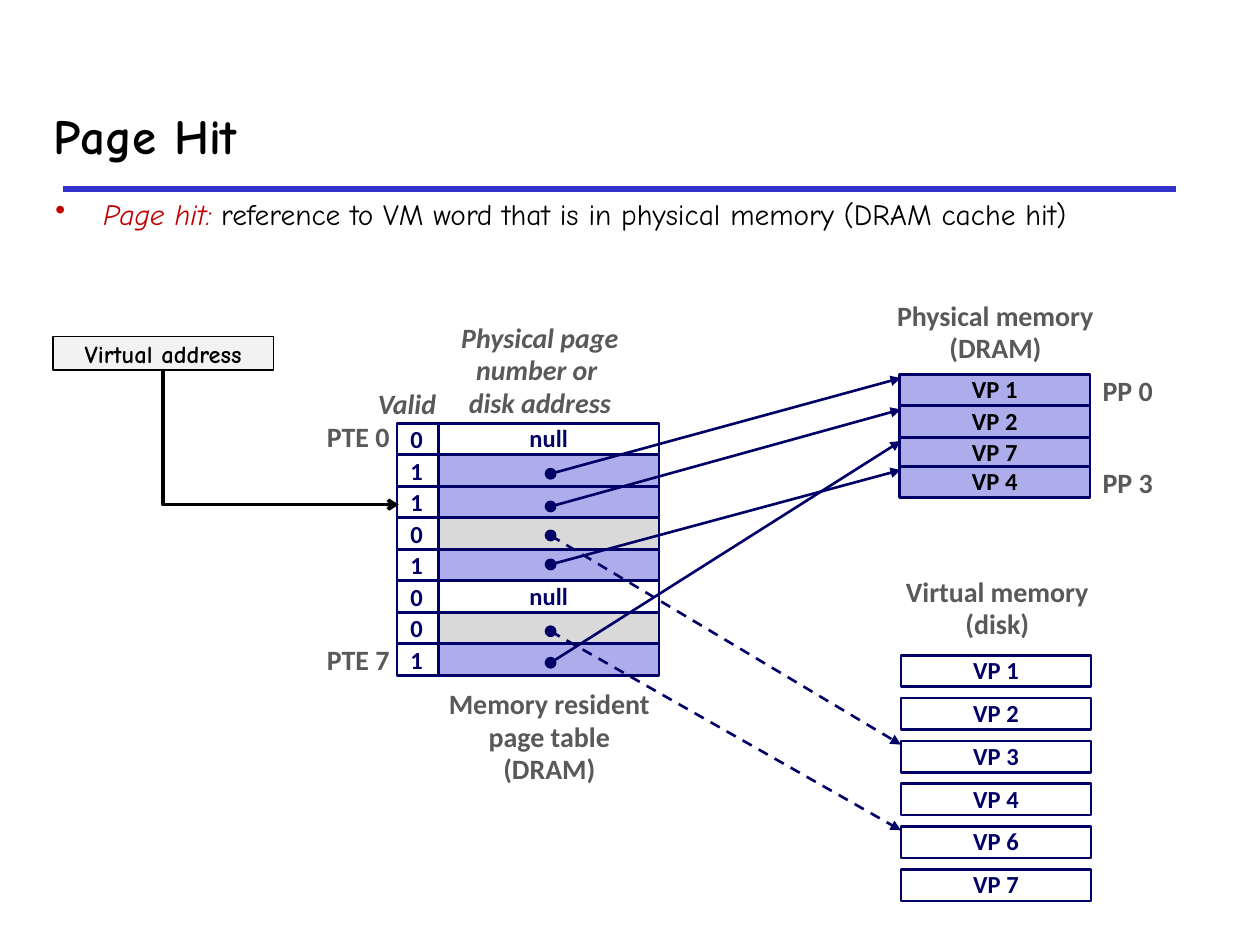
from lxml import etree
from pptx import Presentation
from pptx.dml.color import RGBColor
from pptx.enum.dml import MSO_LINE
from pptx.enum.shapes import MSO_CONNECTOR, MSO_SHAPE
from pptx.enum.text import MSO_ANCHOR, MSO_AUTO_SIZE, PP_ALIGN
from pptx.oxml.ns import qn
from pptx.util import Inches, Pt

STRAIGHT, ELBOW = MSO_CONNECTOR.STRAIGHT, MSO_CONNECTOR.ELBOW
RECTANGLE, OVAL = MSO_SHAPE.RECTANGLE, MSO_SHAPE.OVAL
LEFT, CENTER, RIGHT = PP_ALIGN.LEFT, PP_ALIGN.CENTER, PP_ALIGN.RIGHT
TOP, MIDDLE = MSO_ANCHOR.TOP, MSO_ANCHOR.MIDDLE
FIT, DASH = MSO_AUTO_SIZE.SHAPE_TO_FIT_TEXT, MSO_LINE.DASH

BODY_FONT, TITLE_FONT = "Calibri", "Comic Neue"
NAVY, LAVENDER, SILVER, GRAY = "000066", "ADADEB", "D9D9D9", "595959"
BLACK, WHITE, RED, BLUE = "000000", "FFFFFF", "C00000", "3333CC"

ROW = 0.25
DOT = 0.08
PHYSICAL_TOPS = {"VP 1": 2.97, "VP 2": 3.22, "VP 7": 3.47, "VP 4": 3.7}
VIRTUAL_PAGES = ["VP 1", "VP 2", "VP 3", "VP 4", "VP 6", "VP 7"]
ENTRIES = [
    ("0", "null", None),
    ("1", "VP 1", 3.72),
    ("1", "VP 2", 3.98),
    ("0", "VP 3", 4.21),
    ("1", "VP 4", 4.44),
    ("0", "null", None),
    ("0", "VP 6", 4.97),
    ("1", "VP 7", 5.22),
]


def color(value):
    return RGBColor.from_string(value)


def style_span(span, size, ink, font=BODY_FONT, bold=True, italic=False):
    span.font.name = font
    span.font.size = Pt(size)
    span.font.bold = bold
    span.font.italic = italic
    span.font.color.rgb = color(ink)


def write(frame, text, size, ink, align=CENTER, anchor=MIDDLE,
          font=BODY_FONT, italic=False, wrap=False, spacing=0.98):
    frame.text = text
    frame.word_wrap = wrap
    frame.vertical_anchor = anchor
    for para in frame.paragraphs:
        para.alignment = align
        para.line_spacing = spacing
        for span in para.runs:
            style_span(span, size, ink, font, italic=italic)


def add_label(page, bounds, text, size=16, ink=GRAY, **options):
    label = page.shapes.add_textbox(*map(Inches, bounds))
    write(label.text_frame, text, size, ink, **options)
    label.text_frame.auto_size = FIT


def add_box(page, bounds, fill=None, line=NAVY, width=1.5, kind=RECTANGLE):
    box = page.shapes.add_shape(kind, *map(Inches, bounds))
    box.shadow.inherit = False
    if fill:
        box.fill.solid()
        box.fill.fore_color.rgb = color(fill)
    else:
        box.fill.background()
    box.line.color.rgb = color(line)
    box.line.width = Pt(width)
    return box


def add_page_box(page, bounds, text, fill=WHITE, ink=NAVY):
    box = add_box(page, bounds, fill)
    write(box.text_frame, text, 14, ink)


def add_line(page, start, end, ink, width, head=None, dash=None, kind=STRAIGHT):
    line = page.shapes.add_connector(kind, *map(Inches, start + end))
    line.line.color.rgb = color(ink)
    line.line.width = Pt(width)
    if dash:
        line.line.dash_style = dash
    if head:
        etree.SubElement(line.line._get_or_add_ln(), qn("a:tailEnd"), type=head)
    etree.SubElement(line._element.spPr, qn("a:effectLst"))
    return line


def add_heading(page, left, top, width, height):
    add_line(page, (0.5, 1.5), (9.33, 1.5), BLUE, 3)
    title = page.shapes.add_textbox(*map(Inches, (left, top, width, height)))
    write(title.text_frame, "Page Hit", 28, BLACK, LEFT, font=TITLE_FONT,
          wrap=True, spacing=1.0)


def add_definition(page, left, top, width, height):
    box = page.shapes.add_textbox(*map(Inches, (left, top, width, height)))
    box.text_frame.word_wrap = True
    para = box.text_frame.paragraphs[0]
    para.space_before = Pt(6)
    for text, ink, italic in (
        ("Page hit: ", RED, True),
        ("reference to VM word that is in physical memory (DRAM cache hit)",
         BLACK, False),
    ):
        span = para.add_run()
        span.text = text
        style_span(span, 16.8, ink, TITLE_FONT, False, italic)
    properties = para._p.get_or_add_pPr()
    properties.set("marL", str(Inches(0.38)))
    properties.set("indent", str(-Inches(0.38)))
    bullet_color = etree.SubElement(properties, qn("a:buClr"))
    etree.SubElement(bullet_color, qn("a:srgbClr"), val=RED)
    etree.SubElement(properties, qn("a:buChar"), char="•")


def add_page_table(page, left, top, valid_width, address_width):
    address_left = left + valid_width
    for index, (valid, content, dot_top) in enumerate(ENTRIES):
        row_top = top + index * ROW
        bounds = (address_left, row_top, address_width, ROW)
        if dot_top is None:
            add_page_box(page, bounds, content)
        else:
            add_box(page, bounds, LAVENDER if valid == "1" else SILVER)
        add_box(page, (left, row_top, valid_width, ROW))
        add_label(page, (left + 0.01, row_top - 0.03, 0.3, 0.33), valid, 14,
                  NAVY, align=LEFT, anchor=TOP)
    add_label(page, (left - 0.25, top - 0.33, 0.75, 0.36), "Valid",
              align=LEFT, anchor=TOP, italic=True, wrap=True)
    add_label(page, (left + 0.41, top - 0.86, 1.45, 0.89),
              "Physical page\nnumber or \ndisk address", italic=True)
    add_label(page, (left + 0.31, top + 2.05, 1.8, 0.89),
              "Memory resident\npage table\n(DRAM)", anchor=TOP)
    for name, offset in (("PTE 0", -0.07), ("PTE 7", 1.7)):
        add_label(page, (left - 0.66, top + offset, 0.7, 0.36), name, align=RIGHT)


def add_physical_memory(page, left, width):
    add_label(page, (left - 0.12, 2.33, 1.76, 0.62), "Physical memory\n(DRAM)",
              anchor=TOP)
    for name, top in PHYSICAL_TOPS.items():
        add_page_box(page, (left, top, width, ROW), name, LAVENDER, BLACK)
    for name, top in (("PP 0", 2.93), ("PP 3", 3.66)):
        add_label(page, (left + width, top, 0.6, 0.36), name)


def add_virtual_memory(page, left, top, width, pitch):
    add_label(page, (left - 0.06, top - 0.68, 1.65, 0.62),
              "Virtual memory\n(disk)", anchor=TOP)
    tops = {name: top + i * pitch for i, name in enumerate(VIRTUAL_PAGES)}
    for name, box_top in tops.items():
        add_page_box(page, (left, box_top, width, ROW), name)
    return tops


def add_mappings(page, dot_left, target_left, virtual_tops):
    for valid, name, dot_top in ENTRIES:
        if dot_top is None:
            continue
        cached = valid == "1"
        target_top = (PHYSICAL_TOPS if cached else virtual_tops)[name]
        add_box(page, (dot_left, dot_top, DOT, DOT), NAVY, width=1, kind=OVAL)
        add_line(page, (dot_left + DOT / 2, dot_top + DOT / 2),
                 (target_left, target_top + 0.03), NAVY, 1.5, "triangle",
                 None if cached else DASH)


def add_virtual_address(page, left, top, width, height):
    box = add_box(page, (left, top, width, height), "F2F2F2", BLACK, 1)
    write(box.text_frame, "Virtual address", 14, BLACK, font=TITLE_FONT,
          wrap=True, spacing=1.0)
    elbow = add_line(page, (2.77, 2.53), (1.69, 4.4), BLACK, 2, "arrow", kind=ELBOW)
    properties = elbow._element.spPr
    properties.find(qn("a:prstGeom")).set("prst", "bentConnector2")
    properties.find(qn("a:xfrm")).set("rot", str(270 * 60000))


def main():
    deck = Presentation()
    deck.slide_width, deck.slide_height = Inches(10), Inches(7.5)
    page = deck.slides.add_slide(deck.slide_layouts[6])
    add_heading(page, 0.33, 0.64, 9.06, 0.86)
    add_definition(page, 0.34, 1.51, 9.09, 0.66)
    add_page_table(page, 3.15, 3.36, 0.33, 1.75)
    add_physical_memory(page, 7.14, 1.51)
    virtual_tops = add_virtual_memory(page, 7.15, 5.2, 1.51, 0.34)
    add_mappings(page, 4.33, 7.15, virtual_tops)
    add_virtual_address(page, 0.42, 2.67, 1.75, 0.27)
    deck.save("out.pptx")


if __name__ == "__main__":
    main()
